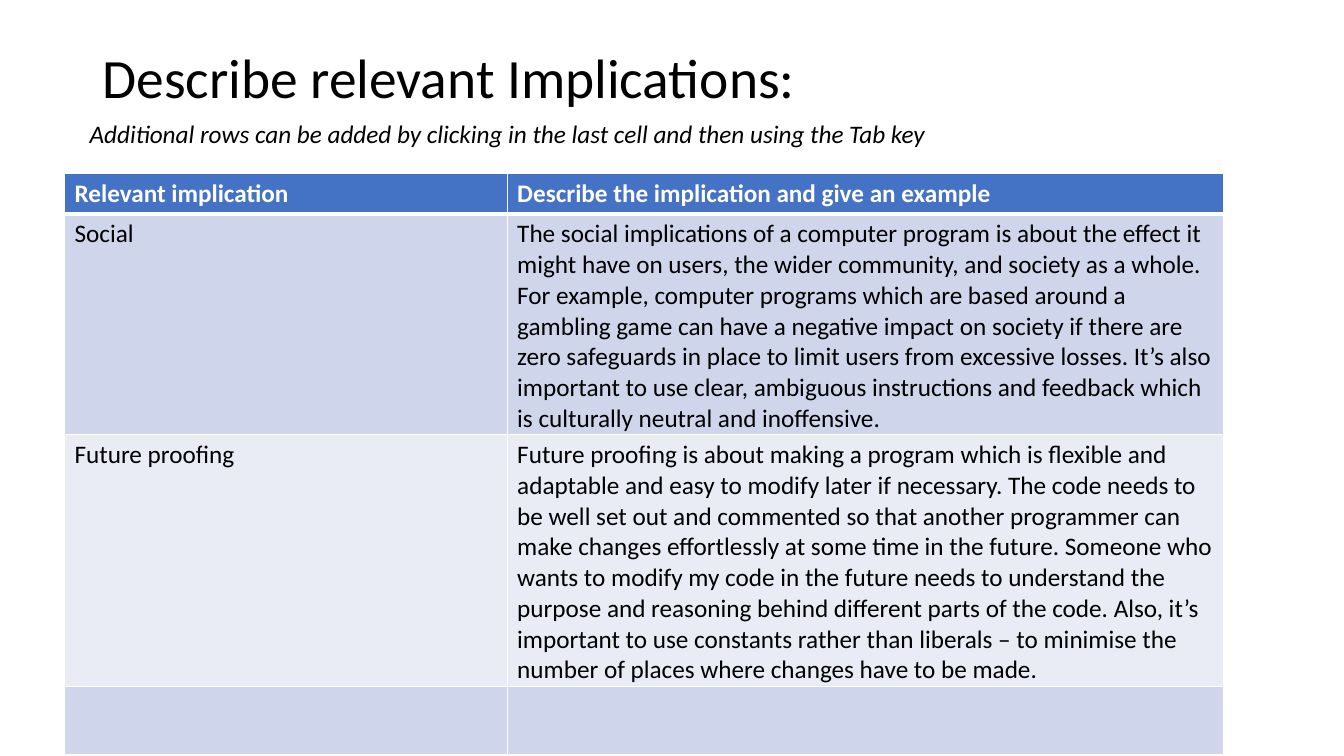
import pptx
import pptx.dml.color
import pptx.enum.text
import pptx.oxml
import pptx.oxml.ns
import pptx.util
from dataclasses import dataclass

Inches = pptx.util.Inches


@dataclass(frozen=True)
class Theme:
    font: str = "Calibri"
    title_size: float = 39.6
    body_size: float = 18
    black: str = "000000"
    white: str = "FFFFFF"
    header_fill: str = "4472C4"
    bands: tuple = ("CFD5EA", "E9EBF5")


theme = Theme()


def write(frame, text, size, color, bold=False, italic=False):
    frame.word_wrap = True
    paragraph = frame.paragraphs[0]
    paragraph.text = text
    font = paragraph.font
    font.name, font.size = theme.font, pptx.util.Pt(size)
    font.bold, font.italic = bold, italic
    font.color.rgb = pptx.dml.color.RGBColor.from_string(color)
    return paragraph


def add_border(cell, side, points):
    width = int(pptx.util.Pt(points))
    line = pptx.oxml.parse_xml(
        f'<a:{side} {pptx.oxml.ns.nsdecls("a")} w="{width}"><a:solidFill>'
        f'<a:srgbClr val="{theme.white}"/></a:solidFill></a:{side}>')
    properties = cell._tc.get_or_add_tcPr()
    properties.insert(len(properties.findall(pptx.oxml.ns.qn("a:ln" + "L")) +
                          properties.findall(pptx.oxml.ns.qn("a:lnR")) +
                          properties.findall(pptx.oxml.ns.qn("a:lnT"))), line)


presentation = pptx.Presentation()
presentation.slide_width = Inches(13.33)
presentation.slide_height = Inches(7.5)
slide = presentation.slides.add_slide(presentation.slide_layouts[6])

# Title
title = slide.shapes.add_textbox(Inches(0.92), Inches(0.4), Inches(11.5), Inches(0.61))
title.text_frame.vertical_anchor = pptx.enum.text.MSO_ANCHOR.MIDDLE
paragraph = write(title.text_frame, "Describe relevant Implications:",
                  theme.title_size, theme.black)
paragraph.line_spacing = 1.15

# Instruction line
instruction = slide.shapes.add_textbox(Inches(0.79), Inches(1.12), Inches(10.94), Inches(0.4))
write(instruction.text_frame,
      "Additional rows can be added by clicking in the last cell and then using the Tab key",
      theme.body_size, theme.black, italic=True)

# Implications table
rows = [
    ("Relevant implication", "Describe the implication and give an example"),
    ("Social",
     "The social implications of a computer program is about the effect it might have on "
     "users, the wider community, and society as a whole. For example, computer programs "
     "which are based around a gambling game can have a negative impact on society if there "
     "are zero safeguards in place to limit users from excessive losses. It’s also important "
     "to use clear, ambiguous instructions and feedback which is culturally neutral and "
     "inoffensive."),
    ("Future proofing",
     "Future proofing is about making a program which is flexible and adaptable and easy to "
     "modify later if necessary. The code needs to be well set out and commented so that "
     "another programmer can make changes effortlessly at some time in the future. Someone "
     "who wants to modify my code in the future needs to understand the purpose and reasoning "
     "behind different parts of the code. Also, it’s important to use constants rather than "
     "liberals – to minimise the number of places where changes have to be made."),
    ("", ""),
]
column_widths = [4.39, 7.11]
row_heights = [0.4, 2.19, 2.5, 0.68]
table = slide.shapes.add_table(
    len(rows), len(column_widths), Inches(0.64), Inches(1.72),
    Inches(sum(column_widths)), Inches(sum(row_heights))).table
for column, width in zip(table.columns, column_widths):
    column.width = Inches(width)

for row_index, (texts, height) in enumerate(zip(rows, row_heights)):
    table.rows[row_index].height = Inches(height)
    is_header = row_index == 0
    fill = theme.header_fill if is_header else theme.bands[(row_index - 1) % 2]
    for column_index, text in enumerate(texts):
        cell = table.cell(row_index, column_index)
        cell.margin_bottom = Inches(0.05 if is_header else 0)
        cell.fill.solid()
        cell.fill.fore_color.rgb = pptx.dml.color.RGBColor.from_string(fill)
        write(cell.text_frame, text, theme.body_size,
              theme.white if is_header else theme.black, bold=is_header)
        # The header's lower edge is heavier, shared with the row below it
        add_border(cell, "lnL", 1)
        add_border(cell, "lnR", 1)
        add_border(cell, "lnT", 3 if row_index == 1 else 1)
        add_border(cell, "lnB", 3 if is_header else 1)

presentation.save("out.pptx")
